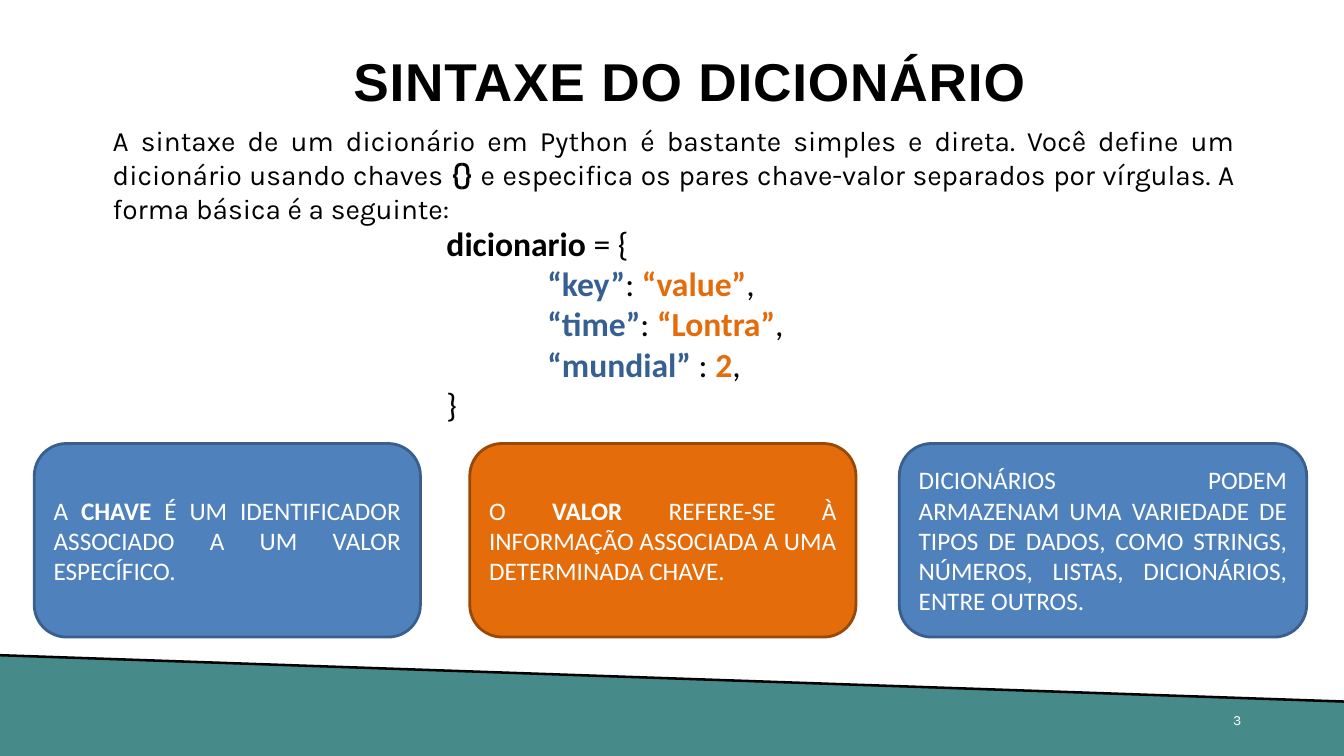
from lxml import etree
from pptx import Presentation
from pptx.dml.color import RGBColor
from pptx.enum.shapes import MSO_CONNECTOR, MSO_SHAPE
from pptx.enum.text import MSO_ANCHOR, MSO_AUTO_SIZE, PP_ALIGN
from pptx.oxml.ns import qn
from pptx.util import Inches, Pt

STRAIGHT = MSO_CONNECTOR.STRAIGHT
ROUNDED = MSO_SHAPE.ROUNDED_RECTANGLE
TOP, MIDDLE = MSO_ANCHOR.TOP, MSO_ANCHOR.MIDDLE
NO_AUTOFIT = MSO_AUTO_SIZE.NONE
CENTER, JUSTIFY = PP_ALIGN.CENTER, PP_ALIGN.JUSTIFY

BLACK, WHITE, TEAL = "000000", "FFFFFF", "468B89"
KEY_BLUE, ORANGE = "376092", "E46C0A"
BLUE, BLUE_EDGE, ORANGE_EDGE = "4F81BD", "3A5F8C", "984807"

SLIDE_W, SLIDE_H = 13.33, 7.5
BAND_LEFT_Y, BAND_RIGHT_Y = 6.5, 6.96
CARD_TOP, CARD_H = 4.4, 1.92

TITLE = "SINTAXE DO DICIONÁRIO"
PAGE_NUMBER = "3"

# Each run is (text, bold) or (text, bold, colour)
INTRO = [
    ("A sintaxe de um dicionário em Python é bastante simples e direta. "
     "Você define um dicionário usando chaves ", False),
    ("{}", True),
    (" e especifica os pares chave-valor separados por vírgulas. "
     "A forma básica é a seguinte:", False),
]
ENTRIES = [
    ("“key”", ": ", "“value”"),
    ("“time”", ": ", "“Lontra”"),
    ("“mundial”", " : ", "2"),
]
# left, width, fill, edge, runs
CARDS = [
    (0.34, 3.83, BLUE, BLUE_EDGE, [
        ("A", False), (" CHAVE ", True),
        ("É UM IDENTIFICADOR ASSOCIADO A UM VALOR ESPECÍFICO.", False)]),
    (4.66, 3.83, ORANGE, ORANGE_EDGE, [
        ("O ", False), ("VALOR ", True),
        ("REFERE-SE À INFORMAÇÃO ASSOCIADA A UMA DETERMINADA CHAVE.", False)]),
    (8.92, 4.04, BLUE, BLUE_EDGE, [
        ("DICIONÁRIOS PODEM ARMAZENAM UMA VARIEDADE DE TIPOS DE DADOS, COMO "
         "STRINGS, NÚMEROS, LISTAS, DICIONÁRIOS, ENTRE OUTROS.", False)]),
]


def rgb(color):
    return RGBColor.from_string(color)


def set_font(paragraph, name, size, color):
    paragraph.font.name = name
    paragraph.font.size = Pt(size)
    paragraph.font.color.rgb = rgb(color)


def add_runs(paragraph, runs):
    for text, bold, *color in runs:
        run = paragraph.add_run()
        run.text = text
        run.font.bold = bold
        if color:
            run.font.color.rgb = rgb(color[0])


def set_tracking(paragraph, points):
    """Set the letter spacing of every run."""
    for run in paragraph.runs:
        run.font._element.set("spc", str(round(points * 100)))


def set_insets(frame, top):
    frame.margin_left = frame.margin_right = frame.margin_bottom = 0
    frame.margin_top = Inches(top)


def add_text_frame(slide, left, top, width, height):
    box = slide.shapes.add_textbox(*map(Inches, (left, top, width, height)))
    box.text_frame.word_wrap = True
    return box.text_frame


def add_band(slide):
    builder = slide.shapes.build_freeform(0, Inches(BAND_LEFT_Y))
    corners = [(0, SLIDE_H), (SLIDE_W, SLIDE_H), (SLIDE_W, BAND_RIGHT_Y)]
    builder.add_line_segments([(Inches(x), Inches(y)) for x, y in corners])
    band = builder.convert_to_shape()
    band.shadow.inherit = False
    band.fill.solid()
    band.fill.fore_color.rgb = rgb(TEAL)
    band.line.fill.background()

    edge = slide.shapes.add_connector(
        STRAIGHT, 0, Inches(BAND_LEFT_Y), Inches(SLIDE_W), Inches(BAND_RIGHT_Y))
    edge.line.color.rgb = rgb(BLACK)
    edge.line.width = Pt(1.8)
    etree.SubElement(edge._element.spPr, qn("a:effectLst"))


def add_title(slide):
    title = slide.shapes.title
    title.left, title.top = Inches(1.52), Inches(0.45)
    title.width, title.height = Inches(10.64), Inches(0.66)
    frame = title.text_frame
    frame.text = TITLE
    frame.auto_size = NO_AUTOFIT
    frame.vertical_anchor = TOP
    set_insets(frame, 0.09)
    heading = frame.paragraphs[0]
    heading.alignment = CENTER
    heading.line_spacing = Pt(41)
    heading.space_before = Pt(6.2)
    set_font(heading, "Arial", 38, BLACK)
    heading.font.bold = True
    set_tracking(heading, 0.6)


def add_intro(slide):
    intro = add_text_frame(slide, 1.02, 1.18, 11.33, 1.11).paragraphs[0]
    intro.alignment = JUSTIFY
    set_font(intro, "Karla", 20, BLACK)
    add_runs(intro, INTRO)


def add_code(slide):
    frame = add_text_frame(slide, 4.33, 2.16, 4.71, 2.12)
    entry_lines = [
        [(key, True, KEY_BLUE), (colon, False), (value, True, ORANGE), (",", False)]
        for key, colon, value in ENTRIES]
    lines = [[("dicionario", True), (" = {", False)], *entry_lines, [("}", False)]]
    for index, runs in enumerate(lines):
        code_line = frame.add_paragraph() if index else frame.paragraphs[0]
        set_font(code_line, "Calibri", 24, BLACK)
        add_runs(code_line, runs)
        if runs in entry_lines:
            code_line._p.get_or_add_pPr().set("marL", str(Inches(1)))


def add_card(slide, left, width, fill, edge, runs):
    card = slide.shapes.add_shape(
        ROUNDED, *map(Inches, (left, CARD_TOP, width, CARD_H)))
    card.shadow.inherit = False
    card.fill.solid()
    card.fill.fore_color.rgb = rgb(fill)
    card.line.color.rgb = rgb(edge)
    card.line.width = Pt(2)
    frame = card.text_frame
    frame.word_wrap = True
    frame.vertical_anchor = MIDDLE
    message = frame.paragraphs[0]
    message.alignment = JUSTIFY
    set_font(message, "Calibri", 18, WHITE)
    add_runs(message, runs)


def add_page_number(slide):
    frame = add_text_frame(slide, 12.23, 7.05, 0.16, 0.2)
    set_insets(frame, 0.01)
    number = frame.paragraphs[0]
    number.space_before = Pt(0.6)
    set_font(number, "Karla", 10, WHITE)
    add_runs(number, [(PAGE_NUMBER, False)])
    set_tracking(number, 0.2)


def main():
    deck = Presentation()
    deck.slide_width, deck.slide_height = Inches(SLIDE_W), Inches(SLIDE_H)
    slide = deck.slides.add_slide(deck.slide_layouts.get_by_name("Title Only"))
    add_band(slide)
    add_title(slide)
    add_page_number(slide)
    add_intro(slide)
    add_code(slide)
    for card in CARDS:
        add_card(slide, *card)
    deck.save("out.pptx")


if __name__ == "__main__":
    main()
